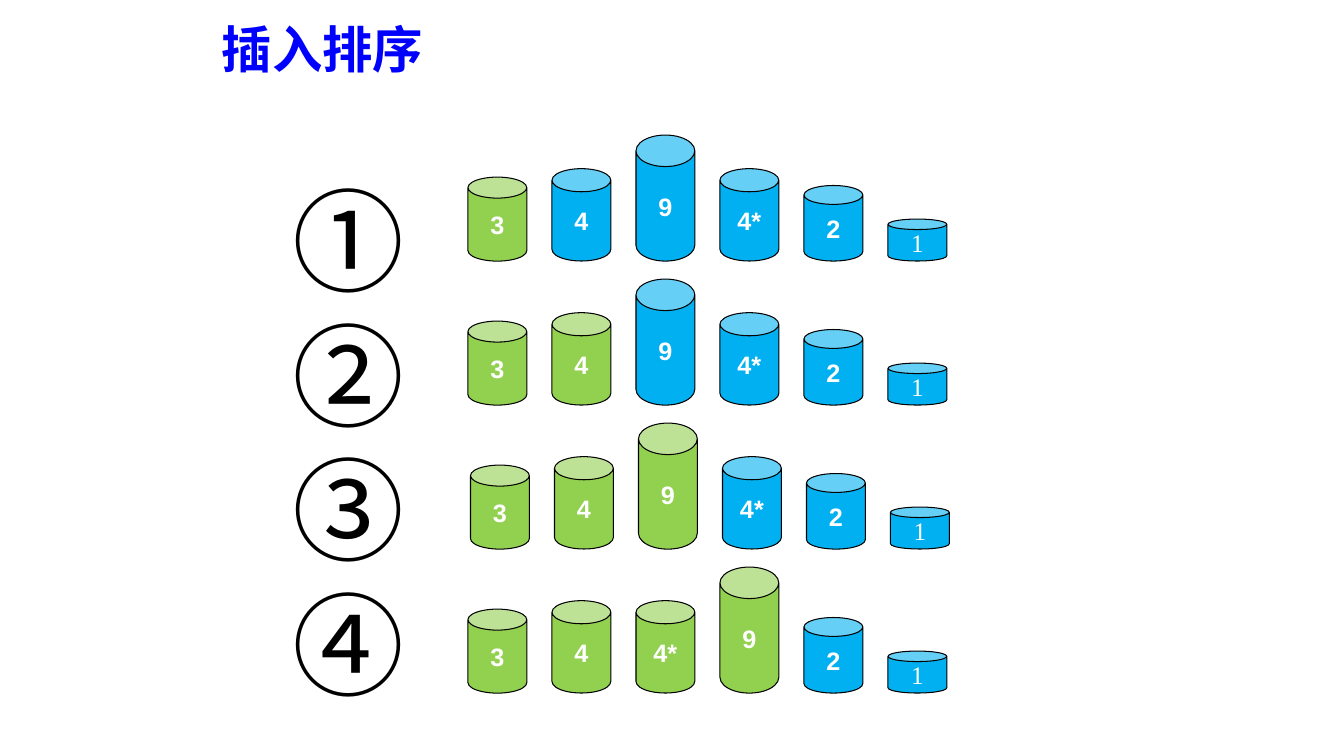
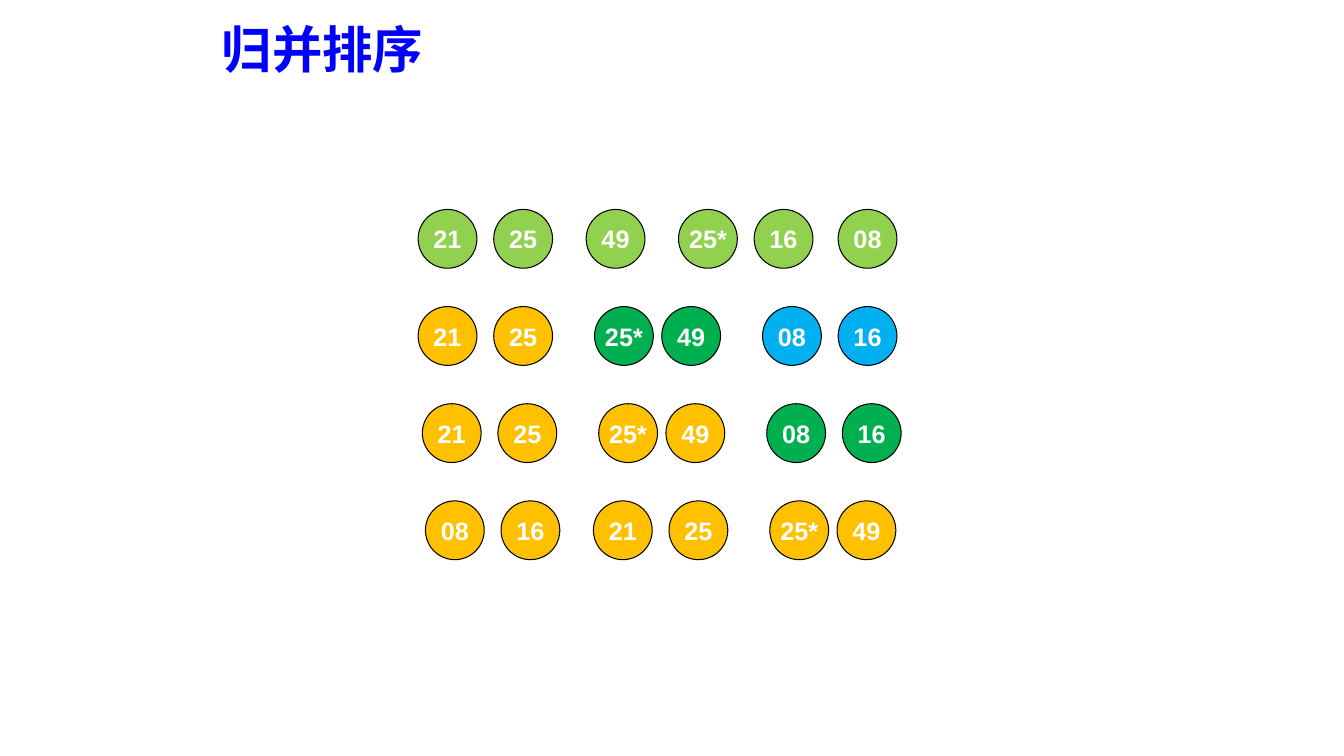
from dataclasses import dataclass

from lxml import etree
from pptx import Presentation
from pptx.dml.color import RGBColor
from pptx.enum.shapes import MSO_SHAPE
from pptx.enum.text import MSO_ANCHOR, MSO_AUTO_SIZE, PP_ALIGN
from pptx.oxml.ns import qn
from pptx.util import Pt


@dataclass(frozen=True)
class Theme:
    blue: str = "0000FF"
    black: str = "000000"
    white: str = "FFFFFF"
    lime: str = "92D050"
    sky: str = "00B0F0"
    amber: str = "FFC000"
    green: str = "00B050"
    cjk: str = "Noto Sans CJK SC"
    sans: str = "Arial"
    serif: str = "Times New Roman"
    title_size: int = 36
    step_size: int = 80
    label_size: int = 18


T = Theme()
ITEM_W = 42

# Insertion sort: left edge, values in order, number already sorted
INSERTION_TITLE = "插入排序"
STEPS = ["①", "②", "③", "④"]
INSERTION_ROWS = [
    (334.3, ["3", "4", "9", "4*", "2", "1"], 1),
    (334.3, ["3", "4", "9", "4*", "2", "1"], 2),
    (336.1, ["3", "4", "9", "4*", "2", "1"], 3),
    (334.3, ["3", "4", "4*", "9", "2", "1"], 4),
]
CAN_HEIGHTS = {"1": 30, "2": 54, "3": 60, "4": 66, "4*": 66, "9": 90}
CAN_PITCH, CAN_BASE, CAN_ROW_PITCH = 60, 186.5, 102.86

# Merge sort: left edge, steps between items, runs of (colour, values)
MERGE_TITLE = "归并排序"
MERGE_ROWS = [
    (298.7, [54, 66, 66, 54, 60],
     [(T.lime, ["21", "25", "49", "25*", "16", "08"])]),
    (298.7, [54, 72, 48, 72, 54],
     [(T.amber, ["21", "25"]), (T.green, ["25*", "49"]), (T.sky, ["08", "16"])]),
    (301.7, [54, 72, 48, 72, 54],
     [(T.amber, ["21", "25", "25*", "49"]), (T.green, ["08", "16"])]),
    (303.9, [54, 66, 54, 72, 48],
     [(T.amber, ["08", "16", "21", "25", "25*", "49"])]),
]
BALL_TOP, BALL_ROW_PITCH = 149.6, 69.4


def style_run(r, font, size, color, bold=False):
    r.font.name, r.font.size, r.font.bold = font, Pt(size), bold
    r.font.color.rgb = RGBColor.from_string(color)
    if font == T.cjk:
        ea = etree.Element(qn("a:ea"), typeface=font)
        r.font._element.find(qn("a:latin")).addnext(ea)


def add_titled_slide(prs, title):
    s = prs.slides.add_slide(prs.slide_layouts[5])
    sp = s.shapes.title
    sp.left, sp.top, sp.width, sp.height = Pt(151.2), Pt(12.6), Pt(160), Pt(52)
    tf = sp.text_frame
    tf.text = title
    tf.word_wrap, tf.auto_size = False, MSO_AUTO_SIZE.NONE
    tf.vertical_anchor = MSO_ANCHOR.TOP
    tf.margin_top = tf.margin_bottom = 0
    p = tf.paragraphs[0]
    p.alignment = PP_ALIGN.LEFT
    style_run(p.runs[0], T.cjk, T.title_size, T.blue, True)
    return s


def add_item(s, kind, x, y, height, label, fill, font=T.sans):
    sp = s.shapes.add_shape(kind, Pt(x), Pt(y), Pt(ITEM_W), Pt(height))
    sp.shadow.inherit = False
    sp.fill.solid()
    sp.fill.fore_color.rgb = RGBColor.from_string(fill)
    sp.line.color.rgb = RGBColor.from_string(T.black)
    sp.line.width = Pt(0.75)
    tf = sp.text_frame
    tf.text = label
    tf.word_wrap, tf.vertical_anchor = False, MSO_ANCHOR.MIDDLE
    p = tf.paragraphs[0]
    p.alignment = PP_ALIGN.CENTER
    style_run(p.runs[0], font, T.label_size, T.white, font == T.sans)
    return sp


def add_step_numbers(s):
    tf = s.shapes.add_textbox(Pt(201.6), Pt(122.8), Pt(36), Pt(388)).text_frame
    tf.word_wrap = True
    tf.margin_top = tf.margin_bottom = 0
    tf.text = "\n".join(STEPS)
    for p in tf.paragraphs:
        p.line_spacing = Pt(96)
        style_run(p.runs[0], T.cjk, T.step_size, T.black)


def build_insertion(prs):
    s = add_titled_slide(prs, INSERTION_TITLE)
    for row, (left, values, done) in enumerate(INSERTION_ROWS):
        base = CAN_BASE + row * CAN_ROW_PITCH
        for col, value in enumerate(values):
            height = CAN_HEIGHTS[value]
            sp = add_item(s, MSO_SHAPE.CAN, left + col * CAN_PITCH, base - height,
                          height, value, T.lime if col < done else T.sky,
                          T.serif if value == "1" else T.sans)
            # Lids stay equally deep relative to each can's height
            sp.adjustments[0] = max(0.25, height / ITEM_W / 4)
    add_step_numbers(s)


def build_merge(prs):
    s = add_titled_slide(prs, MERGE_TITLE)
    for row, (x, steps, runs) in enumerate(MERGE_ROWS):
        items = [(value, color) for color, values in runs for value in values]
        for (value, color), step in zip(items, steps + [0]):
            add_item(s, MSO_SHAPE.OVAL, x, BALL_TOP + row * BALL_ROW_PITCH,
                     ITEM_W, value, color)
            x += step


def main():
    prs = Presentation()
    prs.slide_width, prs.slide_height = Pt(960), Pt(540)
    build_insertion(prs)
    build_merge(prs)
    prs.save("out.pptx")


if __name__ == "__main__":
    main()
